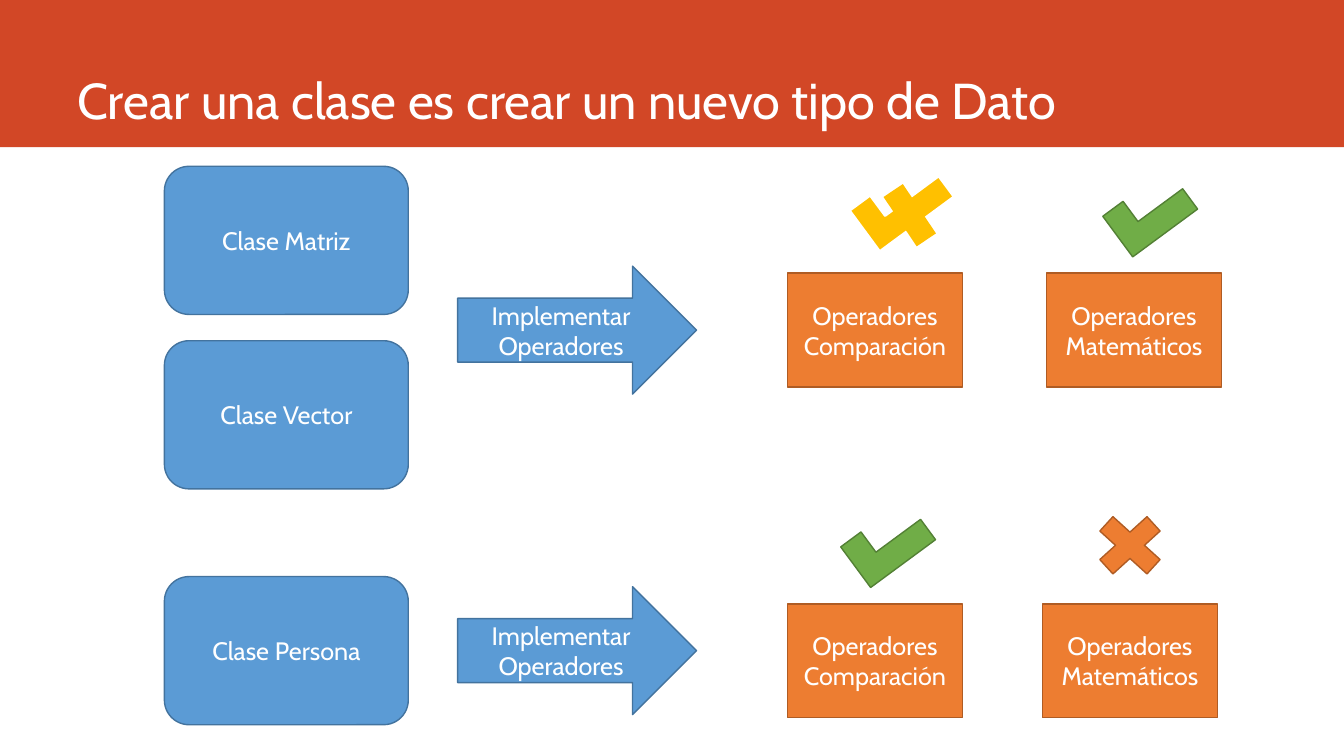
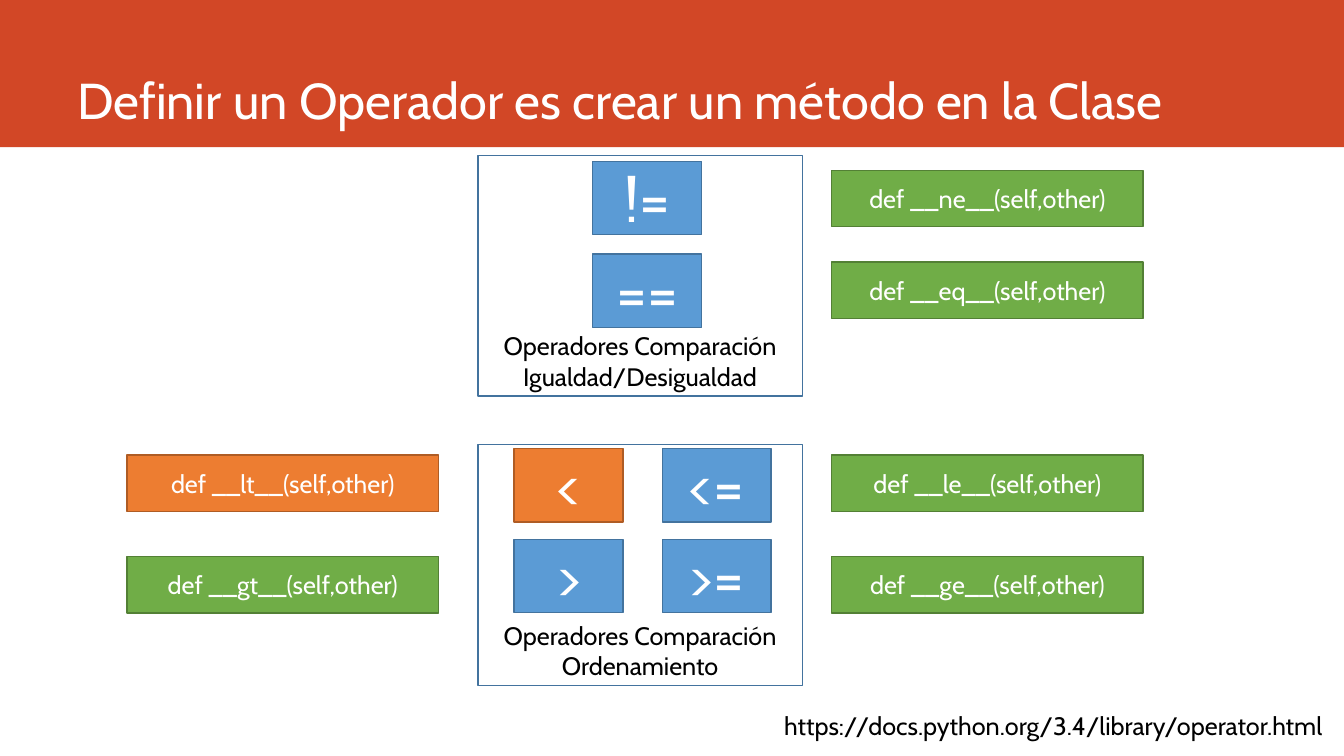
import pptx
import pptx.dml.color
import pptx.enum.shapes
import pptx.enum.text
import pptx.util

FONT = "Cabin"
WHITE, BLACK, RED = "FFFFFF", "000000", "D24726"
BLUE = {"fill": "5B9BD5", "line": "43739E"}
ORANGE = {"fill": "ED7D31", "line": "AF5C24"}
GREEN = {"fill": "70AD47", "line": "538035"}
YELLOW = {"fill": "FFC000"}
OUTLINE = {"line": BLUE["line"]}
WIDTH, HEIGHT = pptx.util.Inches(13.33), pptx.util.Inches(7.5)
SHAPE = pptx.enum.shapes.MSO_SHAPE
ALIGN = pptx.enum.text.PP_ALIGN
ANCHOR = pptx.enum.text.MSO_ANCHOR
TILT = 323.6


def color(hex_value):
    return pptx.dml.color.RGBColor.from_string(hex_value)


def set_values(target, values):
    for name, value in values.items():
        setattr(target, name, value)


def percent(left, top, width, height):
    return [round(share * side / 100) for share, side in
            zip((left, top, width, height), (WIDTH, HEIGHT) * 2)]


def write(shape, lines, size=18, ink=WHITE, align=ALIGN.CENTER,
          anchor=ANCHOR.MIDDLE, wrap=True):
    frame = shape.text_frame
    frame.text = "\n".join(lines)
    set_values(frame, {"word_wrap": wrap, "vertical_anchor": anchor,
                       "auto_size": pptx.enum.text.MSO_AUTO_SIZE.NONE})
    for paragraph in frame.paragraphs:
        paragraph.alignment = align
        for run in paragraph.runs:
            set_values(run.font, {"name": FONT, "size": pptx.util.Pt(size)})
            run.font.color.rgb = color(ink)


def add_figure(slide, kind, box, look, rotation=0, line_width=1):
    shape = slide.shapes.add_shape(kind, *percent(*box))
    shape.shadow.inherit = False
    shape.rotation = rotation
    if "fill" in look:
        shape.fill.solid()
        shape.fill.fore_color.rgb = color(look["fill"])
    else:
        shape.fill.background()
    if "line" in look:
        shape.line.color.rgb = color(look["line"])
        shape.line.width = pptx.util.Pt(line_width)
    else:
        shape.line.fill.background()
    return shape


def add_titled_slide(presentation, title_text):
    slide = presentation.slides.add_slide(presentation.slide_layouts[5])
    title = slide.shapes.title
    band = add_figure(slide, SHAPE.RECTANGLE, (0, 0, 100, 19.47), {"fill": RED})
    title.element.addprevious(band.element)
    set_values(title, dict(zip(("left", "top", "width", "height"),
                               percent(5, 0, 88.13, 17.87))))
    write(title, [title_text], 36, align=ALIGN.LEFT, anchor=ANCHOR.BOTTOM)
    return slide


def add_class(slide, name, top):
    box = (12.23, top, 18.15, 19.6)
    write(add_figure(slide, SHAPE.ROUNDED_RECTANGLE, box, BLUE), ["Clase " + name])


def add_arrow(slide, top):
    box = (34.05, top, 17.78, 16.93)
    write(add_figure(slide, SHAPE.RIGHT_ARROW, box, BLUE),
          ["Implementar", "Operadores"])


def add_operators(slide, kind, left, top):
    box = (left, top, 13.05, 15.07)
    write(add_figure(slide, SHAPE.RECTANGLE, box, ORANGE), ["Operadores", kind])


def add_check(slide, left, top):
    add_figure(slide, SHAPE.CORNER, (left, top, 6, 6.67), GREEN, TILT)


def add_partial_check(slide, left, top):
    add_figure(slide, SHAPE.CORNER, (left, top, 6.83, 6.67),
               {**YELLOW, "line": WHITE}, TILT, 1.5)
    add_figure(slide, SHAPE.RECTANGLE, (left + 3.15, top + 0.93, 1.73, 7.87),
               YELLOW, 326.1)


def add_panel(slide, caption, top):
    box = (35.55, top, 24.15, 31.87)
    write(add_figure(slide, SHAPE.RECTANGLE, box, OUTLINE),
          ["Operadores Comparación", caption], ink=BLACK, anchor=ANCHOR.BOTTOM)


def add_key(slide, symbol, left, top, look):
    box = (left, top, 8.1, 9.73)
    write(add_figure(slide, SHAPE.RECTANGLE, box, look), [symbol], 44)


def add_method(slide, name, left, top, look):
    box = (left, top, 23.18, 7.47)
    write(add_figure(slide, SHAPE.RECTANGLE, box, look),
          [f"def __{name}__(self,other)"])


def add_link(slide, address):
    box = slide.shapes.add_textbox(*percent(57.6, 93.33, 42.38, 5.33))
    write(box, [address], ink=BLACK, align=ALIGN.LEFT, anchor=ANCHOR.TOP, wrap=False)


def build_types_slide(presentation):
    slide = add_titled_slide(presentation,
                             "Crear una clase es crear un nuevo tipo de Dato")
    for name, top in (("Matriz", 22), ("Vector", 45.07), ("Persona", 76.27)):
        add_class(slide, name, top)
    for arrow_top, box_top, math_left in ((35.2, 36.13, 77.85), (77.6, 79.87, 77.55)):
        add_arrow(slide, arrow_top)
        add_operators(slide, "Comparación", 58.58, box_top)
        add_operators(slide, "Matemáticos", math_left, box_top)
    add_partial_check(slide, 63.68, 23.6)
    add_check(slide, 82.58, 24.8)
    add_check(slide, 63.08, 68.53)
    add_figure(slide, SHAPE.MATH_MULTIPLY, (80.7, 66.67, 6.75, 10.93), ORANGE)


def build_methods_slide(presentation):
    slide = add_titled_slide(presentation,
                             "Definir un Operador es crear un método en la Clase")
    add_panel(slide, "Igualdad/Desigualdad", 20.53)
    add_panel(slide, "Ordenamiento", 58.8)
    key_left, key_center, key_right = 38.25, 44.1, 49.28
    method_left, method_right = 9.45, 61.88
    operators = (
        ("!=", key_center, 21.33, "ne", method_right, 22.53),
        ("==", key_center, 33.6, "eq", method_right, 34.67),
        ("<", key_left, 59.33, "lt", method_left, 60.2),
        ("<=", key_right, 59.33, "le", method_right, 60.2),
        (">", key_left, 71.33, "gt", method_left, 73.6),
        (">=", key_right, 71.33, "ge", method_right, 73.6),
    )
    for symbol, symbol_left, symbol_top, name, name_left, name_top in operators:
        highlighted = symbol == "<"
        add_key(slide, symbol, symbol_left, symbol_top, ORANGE if highlighted else BLUE)
        add_method(slide, name, name_left, name_top, ORANGE if highlighted else GREEN)
    add_link(slide, "https://docs.python.org/3.4/library/operator.html")


def main():
    presentation = pptx.Presentation()
    set_values(presentation, {"slide_width": WIDTH, "slide_height": HEIGHT})
    build_types_slide(presentation)
    build_methods_slide(presentation)
    presentation.save("out.pptx")


if __name__ == "__main__":
    main()
